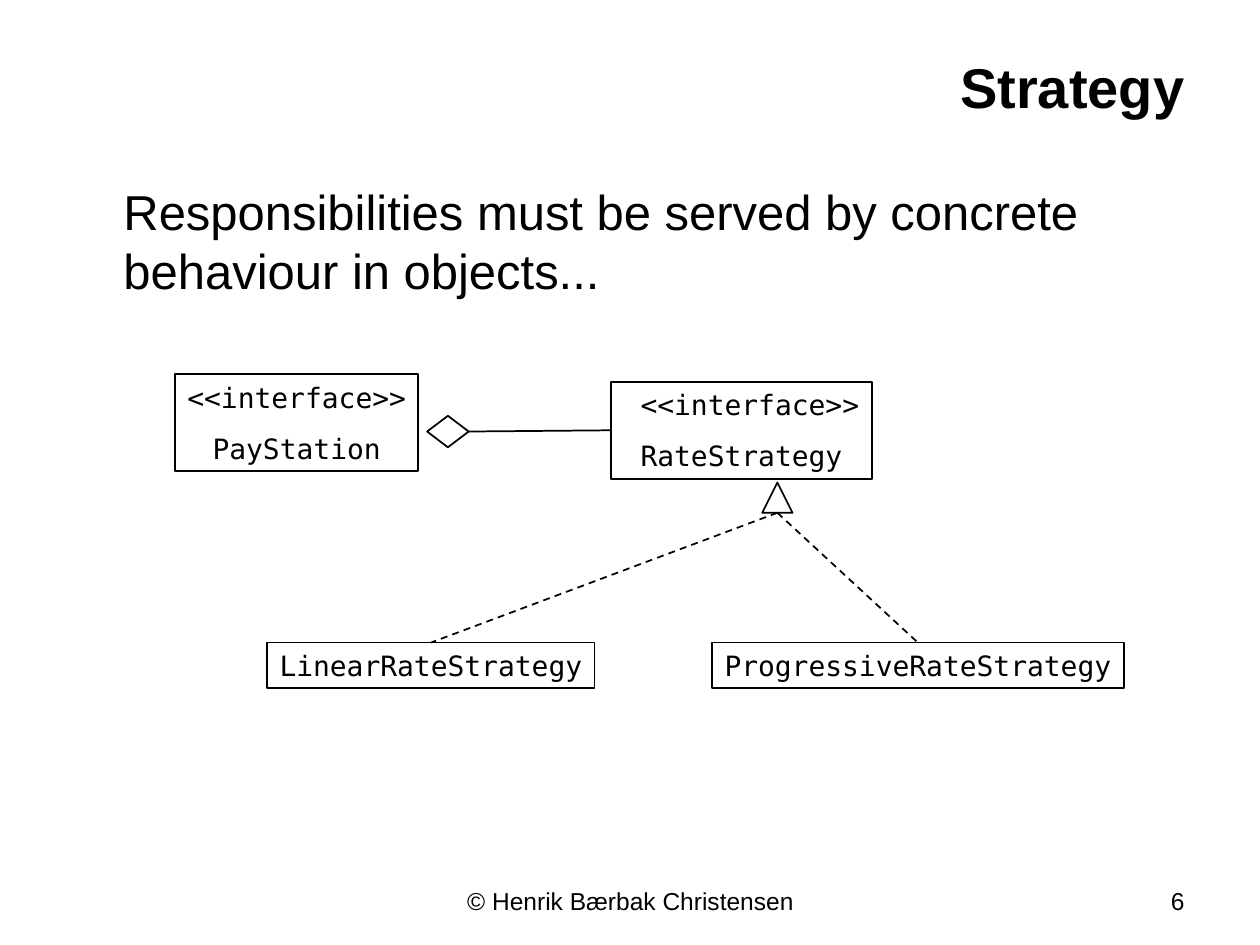
from lxml import etree
from pptx import Presentation
from pptx.dml.color import RGBColor
from pptx.enum.dml import MSO_LINE
from pptx.enum.shapes import MSO_CONNECTOR, MSO_SHAPE
from pptx.enum.text import MSO_ANCHOR, MSO_AUTO_SIZE, PP_ALIGN
from pptx.oxml.ns import qn
from pptx.util import Inches, Pt

COLORS = {"ink": "000000", "paper": "FFFFFF"}
BODY_FONT = "Arial"
CODE_FONT = "DejaVu Sans Mono"


def color(name):
    return RGBColor.from_string(COLORS[name])


def write_lines(frame, lines, font, size, align, bold=False, gap=0):
    """Write one paragraph per line, with gap points between them."""
    for index, line in enumerate(lines):
        paragraph = frame.paragraphs[0] if index == 0 else frame.add_paragraph()
        paragraph.alignment = align
        if index:
            paragraph.space_before = Pt(gap)
        run = paragraph.add_run()
        run.text = line
        run.font.name = font
        run.font.size = Pt(size)
        run.font.bold = bold
        run.font.color.rgb = color("ink")


def add_text(slide, text, left, top, width, height, size, align,
             bold=False, anchor=MSO_ANCHOR.TOP):
    box = slide.shapes.add_textbox(
        Inches(left), Inches(top), Inches(width), Inches(height))
    frame = box.text_frame
    frame.word_wrap = True
    frame.vertical_anchor = anchor
    write_lines(frame, [text], BODY_FONT, size, align, bold)
    return frame


def add_outline(slide, kind, left, top, width, height, fill=None):
    shape = slide.shapes.add_shape(
        kind, Inches(left), Inches(top), Inches(width), Inches(height))
    shape.shadow.inherit = False
    if fill:
        shape.fill.solid()
        shape.fill.fore_color.rgb = color(fill)
    else:
        shape.fill.background()
    shape.line.color.rgb = color("ink")
    shape.line.width = Pt(1)
    return shape


def add_class_box(slide, lines, left, top, width, height,
                  anchor=MSO_ANCHOR.MIDDLE):
    box = add_outline(slide, MSO_SHAPE.RECTANGLE, left, top, width, height)
    frame = box.text_frame
    frame.word_wrap = False
    frame.auto_size = MSO_AUTO_SIZE.NONE
    frame.margin_left = frame.margin_right = Inches(0.05)
    frame.vertical_anchor = anchor
    write_lines(frame, lines, CODE_FONT, 16, PP_ALIGN.CENTER, gap=10)
    return box


def add_line(slide, start, box, side, dashed=False):
    """Draw a line from a point to the middle of a box's side."""
    x, y = start
    line = slide.shapes.add_connector(MSO_CONNECTOR.STRAIGHT, x, y, x, y)
    line.end_connect(box, side)
    line.line.color.rgb = color("ink")
    line.line.width = Pt(1)
    if dashed:
        line.line.dash_style = MSO_LINE.DASH
    etree.SubElement(line._element.spPr, qn("a:effectLst"))
    return line


def add_class_diagram(slide):
    add_class_box(slide, ["<<interface>>", "PayStation"], 1.39, 2.97, 1.93, 0.77)
    rate_strategy = add_class_box(
        slide, [" <<interface>>", "RateStrategy"], 4.85, 3.03, 2.07, 0.77,
        MSO_ANCHOR.TOP)
    diamond = add_outline(
        slide, MSO_SHAPE.DIAMOND, 3.39, 3.3, 0.33, 0.25, "paper")
    aggregation = add_line(slide, (Inches(3.72), Inches(3.42)), rate_strategy, 1)
    aggregation.begin_connect(diamond, 3)

    triangle = add_outline(
        slide, MSO_SHAPE.ISOSCELES_TRIANGLE, 6.05, 3.83, 0.24, 0.24)
    triangle_base = (triangle.left + triangle.width // 2,
                     triangle.top + triangle.height)
    for name, left, width in (("LinearRateStrategy", 2.12, 2.6),
                              ("ProgressiveRateStrategy", 5.65, 3.27)):
        box = add_class_box(slide, [name], left, 5.1, width, 0.36)
        add_line(slide, triangle_base, box, 0, dashed=True)


def main():
    presentation = Presentation()
    presentation.slide_width = Inches(10)
    presentation.slide_height = Inches(7.5)
    slide = presentation.slides.add_slide(presentation.slide_layouts[6])

    add_text(slide, "Strategy", 0.5, 0.3, 9, 0.77, 32, PP_ALIGN.RIGHT,
             bold=True, anchor=MSO_ANCHOR.MIDDLE)
    body = add_text(
        slide,
        "Responsibilities must be served by concrete behaviour in objects...",
        0.5, 1.39, 9, 5.45, 28, PP_ALIGN.LEFT)
    body.margin_left = Inches(0.48)
    add_text(slide, "© Henrik Bærbak Christensen", 3.42, 6.98, 3.17, 0.37, 14,
             PP_ALIGN.CENTER)
    add_text(slide, "6", 7.17, 6.98, 2.33, 0.37, 14, PP_ALIGN.RIGHT)
    add_class_diagram(slide)

    presentation.save("out.pptx")


if __name__ == "__main__":
    main()
